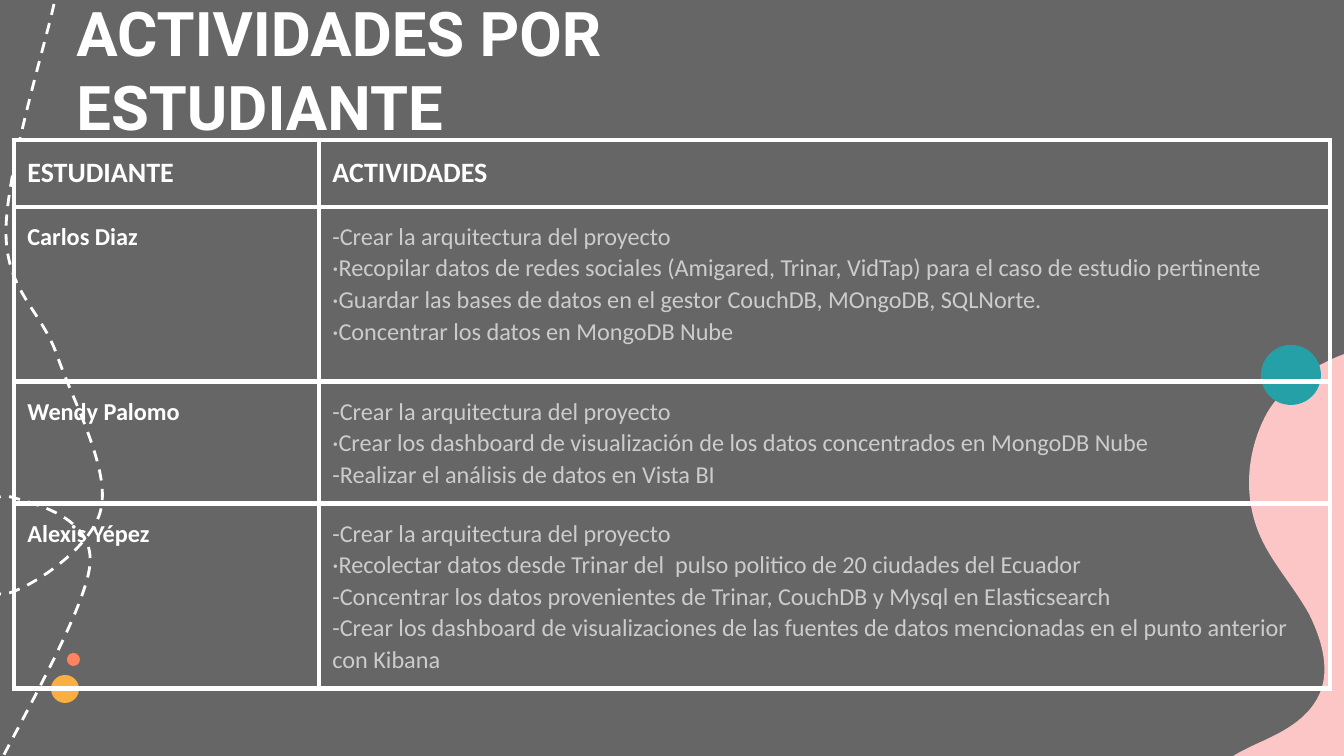
from lxml.etree import SubElement
from pptx import Presentation
from pptx.dml.color import RGBColor
from pptx.enum.dml import MSO_LINE
from pptx.enum.shapes import MSO_SHAPE as SHAPE
from pptx.enum.text import MSO_ANCHOR as ANCHOR, MSO_AUTO_SIZE as AUTO_SIZE, PP_ALIGN as ALIGN
from pptx.oxml.ns import qn
from pptx.util import Pt

GRAY = RGBColor(0x66, 0x66, 0x66)
WHITE = RGBColor(0xFF, 0xFF, 0xFF)
SILVER = RGBColor(0xCC, 0xCC, 0xCC)
PINK = RGBColor(0xFC, 0xC6, 0xC7)
TEAL = RGBColor(0x25, 0xA0, 0xA6)
AMBER = RGBColor(0xFB, 0xAF, 0x42)
CORAL = RGBColor(0xFF, 0x83, 0x61)

EMU_PER_PX = 914400 / 134.4


def px(n):
    return round(n * EMU_PER_PX)


def add_curve(shapes, start, points, corners=()):
    """Draw Bézier curves, three points each; corners add straight sides and close the outline."""
    builder = shapes.build_freeform(px(start[0]), px(start[1]))
    builder.add_line_segments([(px(x), px(y)) for x, y in [*points, *corners]], close=bool(corners))
    curve = builder.convert_to_shape()
    curve.shadow.inherit = False
    # Join every three line segments into one cubic curve
    segments = list(curve.element.iter(qn("a:lnTo")))[:len(points)]
    for i in range(0, len(segments), 3):
        cubic = segments[i].makeelement(qn("a:cubicBezTo"))
        segments[i].addprevious(cubic)
        for segment in segments[i:i + 3]:
            cubic.append(segment[0])
            segment.getparent().remove(segment)
    return curve


prs = Presentation()
prs.slide_width, prs.slide_height = px(1344), px(756)
slide = prs.slides.add_slide(prs.slide_layouts[5])
slide.background.fill.solid()
slide.background.fill.fore_color.rgb = GRAY

# Pink wave at the right edge
wave = add_curve(slide.shapes, (1379, 345), [
    (1337, 351), (1286, 378), (1266, 415),
    (1246, 453), (1243, 499), (1261, 538),
    (1273, 564), (1294, 587), (1309, 614),
    (1322, 640), (1332, 673), (1317, 699),
    (1306, 719), (1285, 731), (1263, 741),
    (1243, 750), (1220, 761), (1207, 778),
    (1193, 797), (1210, 851), (1228, 863),
], corners=[(1379, 863)])
wave.fill.solid()
wave.fill.fore_color.rgb = PINK
wave.line.fill.background()

# Dots
for left, top, size, color in [(1261, 345, 60, TEAL), (51, 675, 28, AMBER), (67, 653, 13, CORAL)]:
    dot = slide.shapes.add_shape(SHAPE.OVAL, px(left), px(top), px(size), px(size))
    dot.shadow.inherit = False
    dot.fill.solid()
    dot.fill.fore_color.rgb = color
    dot.line.fill.background()

# Dashed path at the left edge
trail = add_curve(slide.shapes, (54, 4), [
    (46, 42), (5, 175), (6, 234),
    (7, 293), (42, 310), (58, 358),
    (74, 403), (110, 469), (101, 509),
    (93, 548), (28, 590), (5, 594),
    (-17, 598), (-36, 550), (-35, 534),
    (-34, 517), (-11, 492), (11, 497),
    (31, 503), (94, 516), (90, 564),
    (86, 613), (3, 751), (-13, 789),
])
trail.fill.background()
trail.line.color.rgb = WHITE
trail.line.width = Pt(1.5)
trail.line.dash_style = MSO_LINE.DASH

# Title, in front of the decoration
title = slide.shapes.title
title.element.getparent().append(title.element)
title.left, title.top, title.width, title.height = px(63), px(-18), px(919), px(85)
heading = title.text_frame
heading.word_wrap = True
heading.auto_size = AUTO_SIZE.NONE
heading.vertical_anchor = ANCHOR.TOP
heading.margin_top = heading.margin_bottom = px(13)
heading.paragraphs[0].alignment = ALIGN.LEFT
run = heading.paragraphs[0].add_run()
run.text = "ACTIVIDADES POR ESTUDIANTE"
run.font.name, run.font.size, run.font.bold = "Roboto", Pt(33), True
run.font.color.rgb = WHITE

# Table of students and their activities
rows = [
    (67, "ESTUDIANTE", ["ACTIVIDADES"]),
    (175, "Carlos Diaz", [
        "-Crear la arquitectura del proyecto",
        "·Recopilar datos de redes sociales (Amigared, Trinar, VidTap) para el caso de estudio pertinente",
        "·Guardar las bases de datos en el gestor CouchDB, MOngoDB, SQLNorte.",
        "·Concentrar los datos en MongoDB Nube",
    ]),
    (122, "Wendy Palomo", [
        "-Crear la arquitectura del proyecto",
        "·Crear los dashboard de visualización de los datos concentrados en MongoDB Nube",
        "-Realizar el análisis de datos en Vista BI",
    ]),
    (185, "Alexis Yépez", [
        "-Crear la arquitectura del proyecto",
        "·Recolectar datos desde Trinar del  pulso politico de 20 ciudades del Ecuador",
        "-Concentrar los datos provenientes de Trinar, CouchDB y Mysql en Elasticsearch",
        "-Crear los dashboard de visualizaciones de las fuentes de datos mencionadas "
        "en el punto anterior con Kibana",
    ]),
]
column_widths = (305, 1011)
table = slide.shapes.add_table(len(rows), 2, px(14), px(140), px(sum(column_widths)),
                               px(sum(row[0] for row in rows))).table
table.first_row = table.horz_banding = False
for column, width in zip(table.columns, column_widths):
    column.width = px(width)

for r, (height, student, activities) in enumerate(rows):
    table.rows[r].height = px(height)
    for c, lines in enumerate(([student], activities)):
        cell = table.cell(r, c)
        cell.margin_top = cell.margin_bottom = px(13)
        strong = r == 0 or c == 0
        for i, line in enumerate(lines):
            frame = cell.text_frame
            paragraph = frame.add_paragraph() if i else frame.paragraphs[0]
            paragraph.line_spacing = 1.07
            run = paragraph.add_run()
            run.text = line
            run.font.name, run.font.bold = "Calibri", strong
            run.font.size = Pt(13 if r else 15)
            run.font.color.rgb = WHITE if strong else SILVER
        # Borders come before the fill in the cell properties
        properties = cell._tc.get_or_add_tcPr()
        for side in ("a:lnL", "a:lnR", "a:lnT", "a:lnB"):
            border = SubElement(properties, qn(side), w=str(Pt(3)))
            SubElement(SubElement(border, qn("a:solidFill")), qn("a:srgbClr"), val=str(WHITE))
        if r == 0:
            cell.fill.solid()
            cell.fill.fore_color.rgb = GRAY
        else:
            cell.fill.background()

prs.save("out.pptx")
